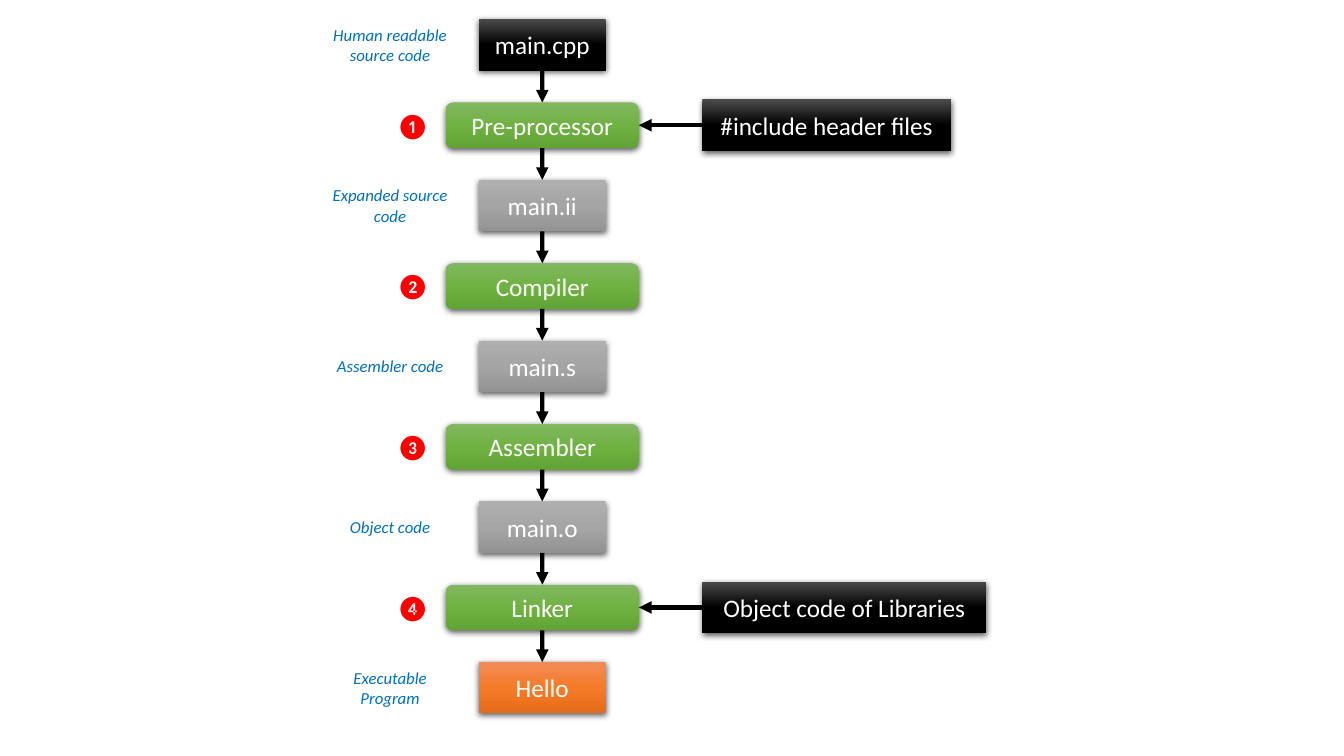
"""Build a slide showing the stages from C++ source code to an executable program."""
import pptx
import pptx.dml.color
import pptx.enum.shapes
import pptx.enum.text
import pptx.oxml
import pptx.oxml.ns
import pptx.util

Pt = pptx.util.Pt
SHAPES = pptx.enum.shapes.MSO_SHAPE
TEXT = pptx.enum.text
NS = pptx.oxml.ns.nsdecls("a")
BLACK = ("4B4B4B", "000000", "000000")
GRAY = ("AFAFAF", "A5A5A5", "939393")
GREEN = ("81B861", "6FB242", "62A336")
ORANGE = ("F18C57", "F67B28", "E56C19")
TOP, FILE_HEIGHT, STAGE_HEIGHT, GAP = 13.7, 36.8, 32.6, 22.7
PITCH = FILE_HEIGHT + STAGE_HEIGHT + 2 * GAP


def add_words(holder, words, size, color, align, italic=None):
    """Write one paragraph into a shape or text box."""
    paragraph = holder.text_frame.paragraphs[0]
    paragraph.text = words
    paragraph.alignment = align
    paragraph.font.size = Pt(size)
    paragraph.font.name = "Calibri"
    paragraph.font.italic = italic
    paragraph.font.color.rgb = pptx.dml.color.RGBColor.from_string(color)


def add_box(geometry, left, top, width, height, gradient, words):
    """Draw a captioned box with a vertical gradient and a soft shadow."""
    box = slide.shapes.add_shape(geometry, Pt(left), Pt(top), Pt(width), Pt(height))
    box.line.fill.background()
    box.fill.gradient()
    box.fill.gradient_angle = 270
    properties = box.element.spPr
    stops = properties.find(".//" + pptx.oxml.ns.qn("a:gsLst"))
    for stop in list(stops):
        stops.remove(stop)
    for position, color in zip((0, 50000, 100000), gradient):
        stops.append(pptx.oxml.parse_xml(
            f'<a:gs {NS} pos="{position}"><a:srgbClr val="{color}"/></a:gs>'))
    box.shadow.inherit = False
    properties.find(pptx.oxml.ns.qn("a:effectLst")).append(pptx.oxml.parse_xml(
        f'<a:outerShdw {NS} blurRad="{Pt(4.5)}" dist="{Pt(1.5)}" dir="5400000" '
        'algn="ctr" rotWithShape="0"><a:srgbClr val="000000"><a:alpha val="63000"/>'
        '</a:srgbClr></a:outerShdw>'))
    box.text_frame.vertical_anchor = TEXT.MSO_ANCHOR.MIDDLE
    add_words(box, words, 18, "FFFFFF", TEXT.PP_ALIGN.CENTER)
    return box


presentation = pptx.Presentation()
presentation.slide_width, presentation.slide_height = Pt(960), Pt(540)
slide = presentation.slides.add_slide(presentation.slide_layouts[6])

files = [
    ("main.cpp", BLACK, "Human readable source code", 36.3),
    ("main.ii", GRAY, "Expanded source code", 36.3),
    ("main.s", GRAY, "Assembler code", 21.8),
    ("main.o", GRAY, "Object code", 21.8),
    ("Hello", ORANGE, "Executable Program", 36.3),
]
stages = [
    ("Pre-processor", "❶", "#include header files", 177.4),
    ("Compiler", "❷", None, 0),
    ("Assembler", "❸", None, 0),
    ("Linker", "❹", "Object code of Libraries", 202.6),
]

file_boxes = []
for row, (file_name, gradient, description, height) in enumerate(files):
    top = TOP + row * PITCH
    file_boxes.append(add_box(SHAPES.RECTANGLE, 342, top, 90.7, FILE_HEIGHT,
                              gradient, file_name))
    label = slide.shapes.add_textbox(
        Pt(229.7), Pt(top + (FILE_HEIGHT - height) / 2), Pt(97.9), Pt(height))
    label.text_frame.word_wrap = True
    add_words(label, description, 12, "0070C0", TEXT.PP_ALIGN.CENTER, True)

flows = []
for row, (stage_name, number, extra_input, width) in enumerate(stages):
    top = TOP + FILE_HEIGHT + GAP + row * PITCH
    middle = top + STAGE_HEIGHT / 2
    stage = add_box(SHAPES.ROUNDED_RECTANGLE, 318.4, top, 138, STAGE_HEIGHT,
                    GREEN, stage_name)
    flows.append((file_boxes[row], 2, stage, 0))
    flows.append((stage, 2, file_boxes[row + 1], 0))
    if extra_input:
        extra_box = add_box(SHAPES.RECTANGLE, 501.8, middle - FILE_HEIGHT / 2,
                            width, FILE_HEIGHT, BLACK, extra_input)
        flows.append((extra_box, 1, stage, 3))
    badge = slide.shapes.add_textbox(Pt(275.8), Pt(middle - 14.5), Pt(31), Pt(29))
    badge.text_frame.word_wrap = False
    add_words(badge, number, 18, "FF0000", TEXT.PP_ALIGN.LEFT)

for source, source_side, target, target_side in flows:
    arrow = slide.shapes.add_connector(
        pptx.enum.shapes.MSO_CONNECTOR.STRAIGHT, Pt(0), Pt(0), Pt(0), Pt(0))
    arrow.begin_connect(source, source_side)
    arrow.end_connect(target, target_side)
    arrow.line.width = Pt(3)
    arrow.line.color.rgb = pptx.dml.color.RGBColor.from_string("000000")
    arrow.line._get_or_add_ln().append(
        pptx.oxml.parse_xml(f'<a:tailEnd {NS} type="triangle"/>'))
    arrow.element.spPr.append(pptx.oxml.parse_xml(f"<a:effectLst {NS}/>"))

presentation.save("out.pptx")
